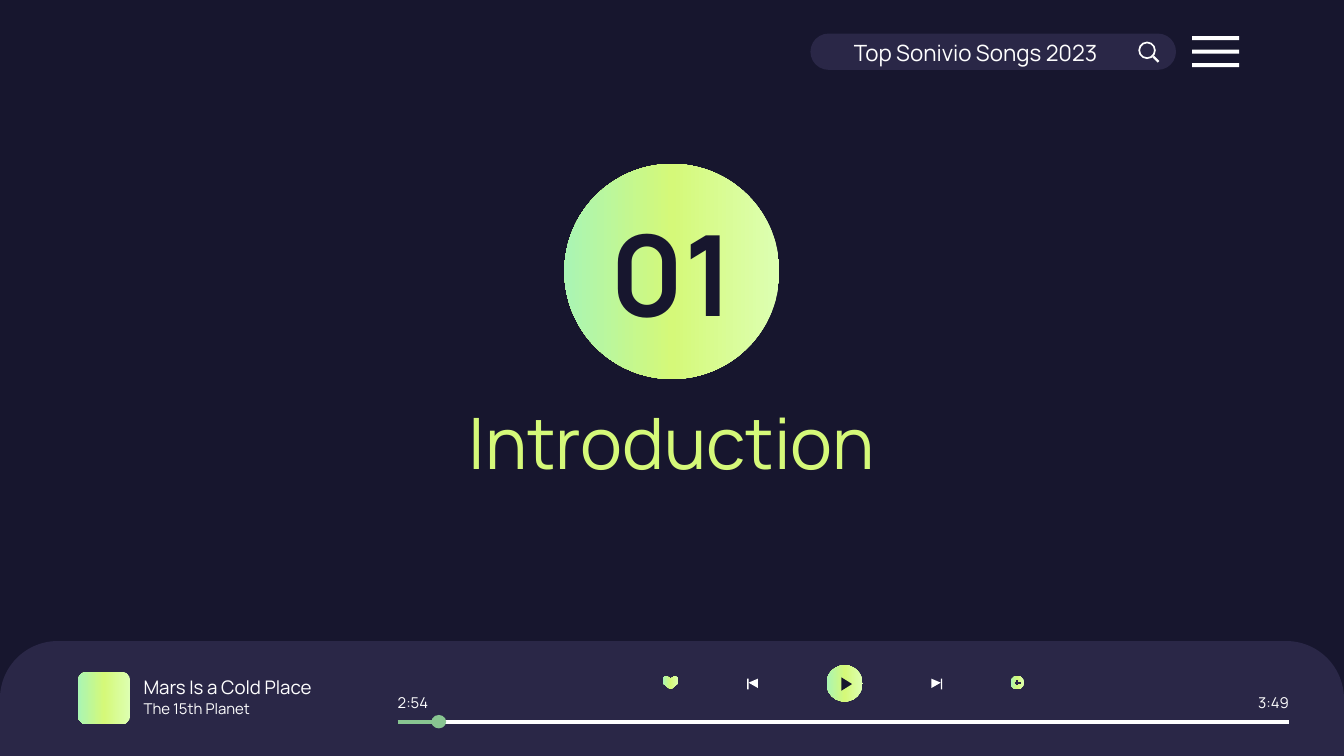
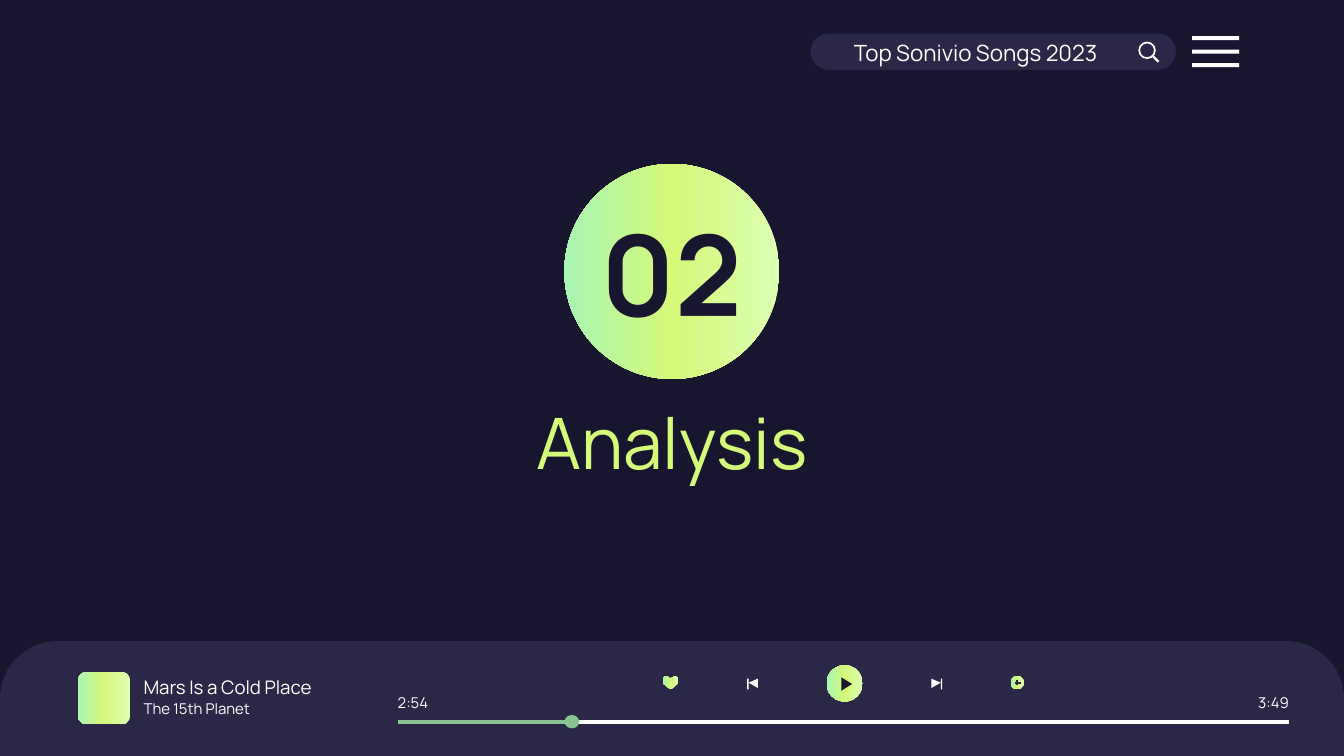
from copy import deepcopy

from lxml.etree import SubElement
from pptx import Presentation
from pptx.dml.color import RGBColor
from pptx.enum.shapes import MSO_CONNECTOR, MSO_SHAPE
from pptx.enum.text import MSO_ANCHOR, MSO_AUTO_SIZE, PP_ALIGN
from pptx.oxml.ns import qn
from pptx.util import Inches, Pt

NIGHT = RGBColor(0x17, 0x16, 0x2E)
PANEL = RGBColor(0x2A, 0x27, 0x47)
WHITE = RGBColor(0xFF, 0xFF, 0xFF)
LIME = RGBColor(0xD5, 0xF9, 0x79)
PALE = RGBColor(0xDD, 0xFF, 0xB2)
MINT = RGBColor(0xA9, 0xF5, 0xB4)
GREEN = RGBColor(0x88, 0xC5, 0x91)
GLOW = [(0, PALE), (0.5, LIME), (1, MINT)]
FONT = "Manrope"

TRACK_LEFT, TRACK_RIGHT, TRACK_Y = 2.96, 9.59, 5.37
SECTIONS = [
    ("01", "Introduction", 3.21, 3.26),
    ("02", "Analysis", 4.2, 4.23),
]


def write(sp, text, box, size, color=WHITE, bold=False, align=PP_ALIGN.LEFT, inset=0.1):
    sp.left, sp.top, sp.width, sp.height = [Inches(v) for v in box]
    tf = sp.text_frame
    tf.word_wrap = True
    tf.auto_size = MSO_AUTO_SIZE.NONE
    tf.vertical_anchor = MSO_ANCHOR.MIDDLE
    tf.margin_left = tf.margin_right = Inches(inset)
    tf.margin_top = tf.margin_bottom = Inches(0.1)
    p = tf.paragraphs[0]
    p.alignment = align
    r = p.add_run()
    r.text = text
    r.font.name = FONT
    r.font.size = Pt(size)
    r.font.bold = bold
    r.font.color.rgb = color
    return p


def paint(sp, color=None):
    sp.shadow.inherit = False
    sp.line.fill.background()
    if color is not None:
        sp.fill.solid()
        sp.fill.fore_color.rgb = color
        return
    sp.fill.gradient()
    sp.fill.gradient_angle = 180
    stops = sp._element.spPr.find(qn("a:gradFill")).find(qn("a:gsLst"))
    stops.append(deepcopy(stops[0]))
    for stop, (position, tone) in zip(sp.fill.gradient_stops, GLOW):
        stop.position = position
        stop.color.rgb = tone


prs = Presentation()
prs.slide_width = Inches(10)
prs.slide_height = prs.slide_width * 9 // 16
fill = prs.slide_master.background.fill
fill.solid()
fill.fore_color.rgb = NIGHT

for number, heading, knob_left, played_to in SECTIONS:
    s = prs.slides.add_slide(prs.slide_layouts[1])
    title, search = s.placeholders

    shapes = [
        (MSO_SHAPE.ROUNDED_RECTANGLE, (6.03, 0.25, 2.72, 0.27), PANEL, [0.5]),
        (MSO_SHAPE.DONUT, (8.47, 0.31, 0.13, 0.13), WHITE, [0.1]),
        (MSO_SHAPE.ROUND_2_SAME_RECTANGLE, (0, 4.77, 10, 0.86), PANEL, [0.5, 0]),
        (MSO_SHAPE.ROUNDED_RECTANGLE, (0.58, 5, 0.39, 0.39), None, [0.167]),
        (MSO_SHAPE.OVAL, (7.52, 5.03, 0.1, 0.1), None, []),
        (MSO_SHAPE.OVAL, (6.15, 4.95, 0.27, 0.27), None, []),
        (MSO_SHAPE.OVAL, (4.2, 1.22, 1.6, 1.6), None, []),
        (MSO_SHAPE.RECTANGLE, (7, 5.05, 0.01, 0.08), WHITE, []),
        (MSO_SHAPE.RECTANGLE, (5.56, 5.05, 0.01, 0.08), WHITE, []),
    ]
    for i in range(3):
        shapes.append((MSO_SHAPE.RECTANGLE, (8.87, 0.27 + 0.1 * i, 0.35, 0.03), WHITE, []))
    for kind, box, color, adjustments in shapes:
        sp = s.shapes.add_shape(kind, *[Inches(v) for v in box])
        paint(sp, color)
        for i, value in enumerate(adjustments):
            sp.adjustments[i] = value

    for points, color in [
        ([(6.26, 5.04), (6.26, 5.14), (6.34, 5.09)], NIGHT),
        ([(6.93, 5.05), (6.93, 5.12), (7, 5.08)], WHITE),
        ([(5.64, 5.05), (5.57, 5.08), (5.64, 5.12)], WHITE),
        ([(5.02, 5.03), (4.99, 5.05), (4.96, 5.03), (4.94, 5.04), (4.93, 5.07),
          (4.94, 5.09), (4.99, 5.13), (5.04, 5.09), (5.05, 5.07), (5.04, 5.04)], None),
    ]:
        corners = [(Inches(x), Inches(y)) for x, y in points]
        outline = s.shapes.build_freeform(*corners[0])
        outline.add_line_segments(corners[1:])
        paint(outline.convert_to_shape(), color)

    for x1, y1, x2, y2, color, width in [
        (8.58, 0.42, 8.62, 0.46, WHITE, 1.25),
        (7.57, 5.06, 7.57, 5.1, PANEL, 1),
        (7.55, 5.08, 7.6, 5.08, PANEL, 1),
        (TRACK_LEFT, TRACK_Y, TRACK_RIGHT, TRACK_Y, WHITE, 2.25),
        (TRACK_LEFT, TRACK_Y, played_to, TRACK_Y, GREEN, 2.25),
    ]:
        line = s.shapes.add_connector(
            MSO_CONNECTOR.STRAIGHT, Inches(x1), Inches(y1), Inches(x2), Inches(y2))
        line.line.color.rgb = color
        line.line.width = Pt(width)
        SubElement(line._element.spPr, qn("a:effectLst"))

    knob = s.shapes.add_shape(
        MSO_SHAPE.OVAL, Inches(knob_left), Inches(5.32), Inches(0.11), Inches(0.1))
    paint(knob, GREEN)

    for text, box, size, options in [
        ("Mars Is a Cold Place", (0.97, 5.03, 1.91, 0.17), 10, {}),
        ("The 15th Planet", (0.97, 5.19, 1.15, 0.17), 8, {}),
        ("2:54", (TRACK_LEFT, 5.14, 0.27, 0.17), 8, {"inset": 0}),
        ("3:49", (9.32, 5.14, 0.27, 0.17), 8, {"inset": 0, "align": PP_ALIGN.RIGHT}),
        (number, (4.2, 1.56, 1.6, 0.92), 60,
         {"color": NIGHT, "bold": True, "align": PP_ALIGN.CENTER}),
    ]:
        write(s.shapes.add_textbox(0, 0, 0, 0), text, box, size, **options)

    write(title, heading, (2.13, 2.82, 5.74, 0.92), 38, color=LIME, align=PP_ALIGN.CENTER)
    p = write(search, "Top Sonivio Songs 2023", (5.67, 0.19, 2.68, 0.37), 12,
              align=PP_ALIGN.CENTER)
    p.line_spacing = 1.15
    p.space_before = Pt(0)
    p.space_after = Pt(16)
    pPr = p._p.get_or_add_pPr()
    pPr.set("marL", str(Inches(0.5)))
    pPr.set("indent", "0")
    SubElement(pPr, qn("a:buNone"))
    for sp in (title, search):
        s.shapes._spTree.append(sp._element)

prs.save("out.pptx")
